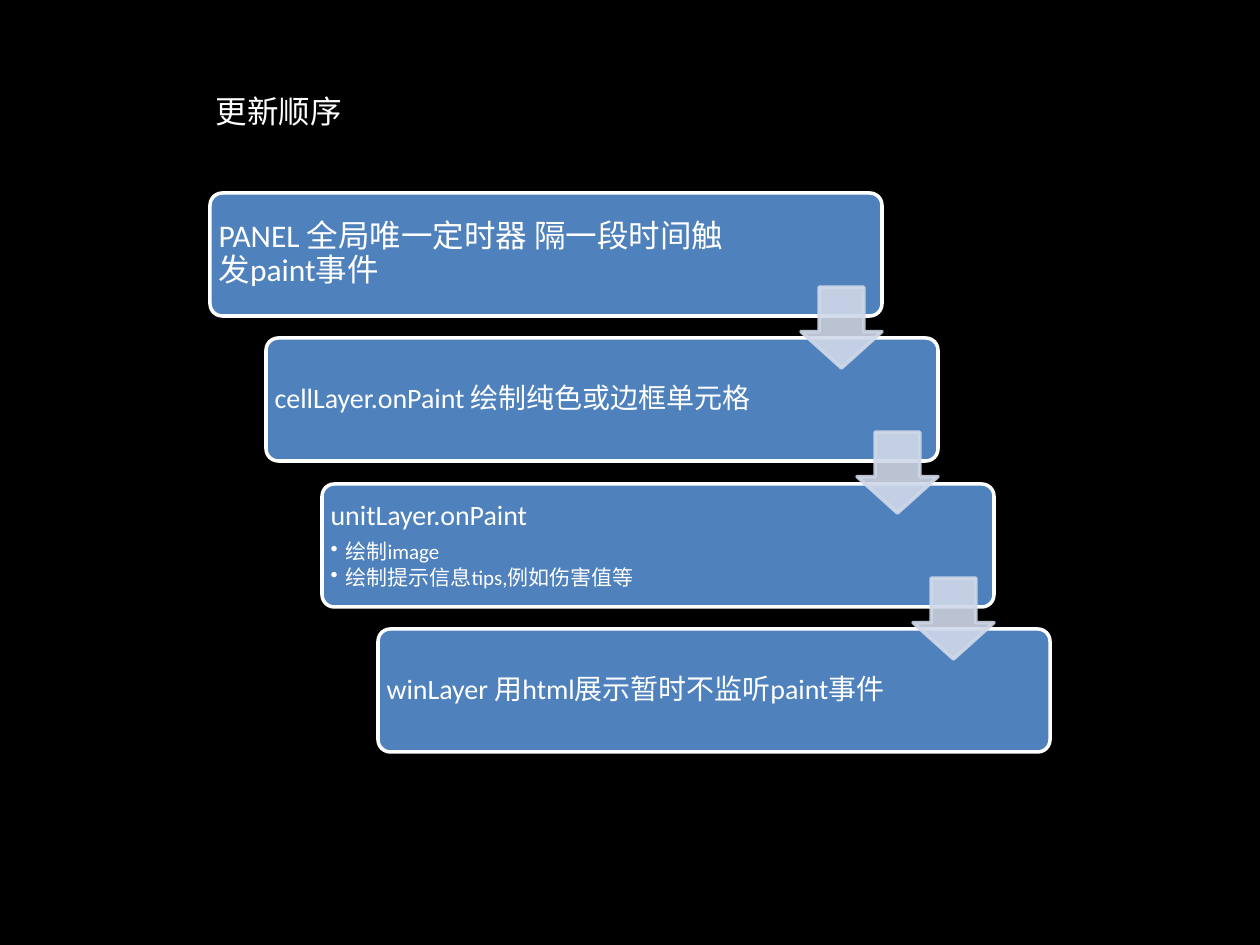
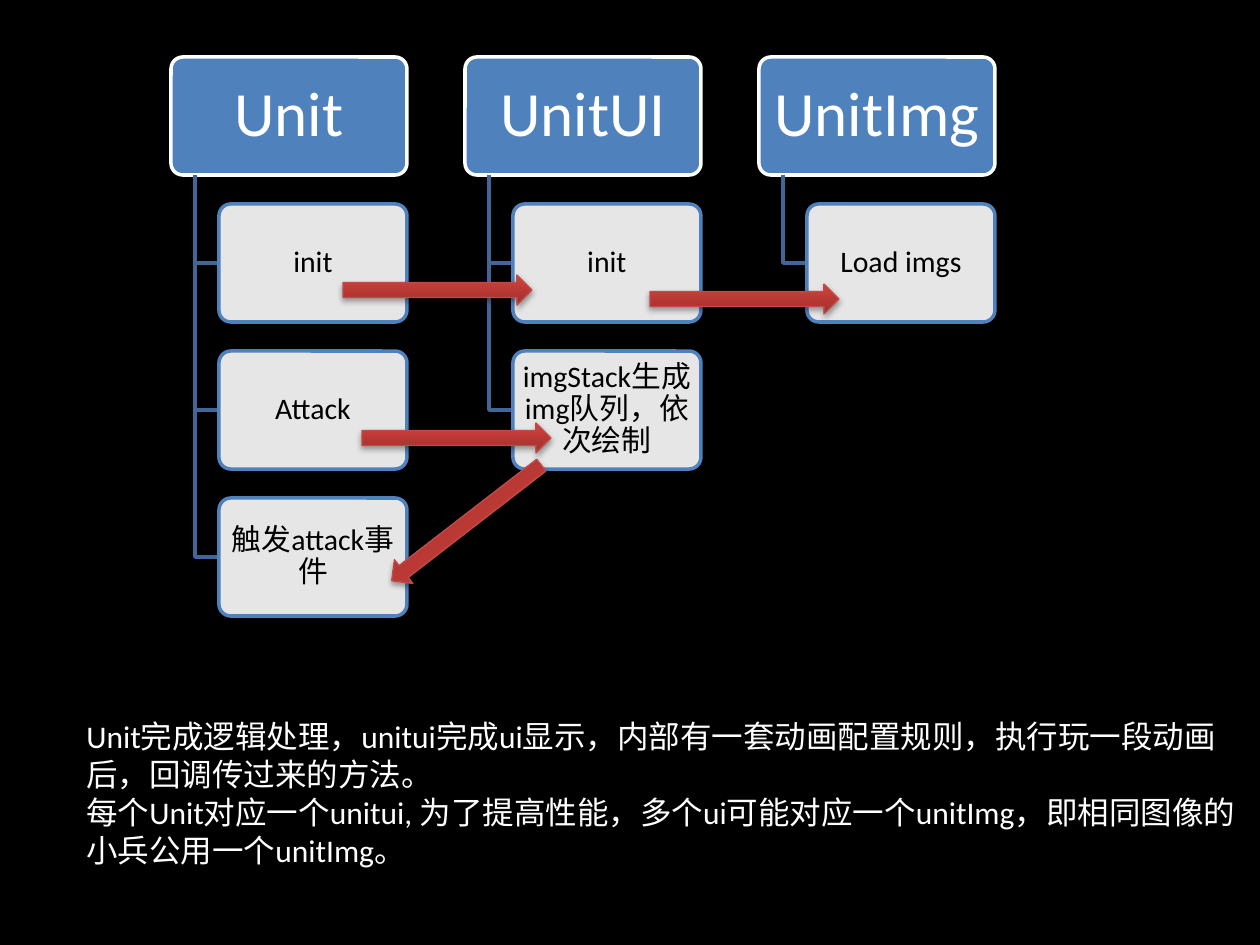
from lxml import etree
from pptx import Presentation
from pptx.dml.color import RGBColor
from pptx.enum.shapes import MSO_SHAPE as SHAPE
from pptx.enum.text import MSO_ANCHOR as ANCHOR, PP_ALIGN as ALIGN
from pptx.oxml import parse_xml
from pptx.oxml.ns import nsdecls, qn
from pptx.util import Pt

SCALE = 914400 / 126  # EMU per pixel
FONT = "Calibri"
COLORS = {
    "black": "000000",
    "white": "FFFFFF",
    "blue": "4F81BD",
    "branch": "3F6797",
    "pale": "D0D8E8",
    "red_dark": "9C2F2D",
    "red_mid": "CB3E3A",
    "red_light": "CE3B37",
    "red_line": "BF4C48",
}

# Each step is a list of (text, size, is bullet)
STEPS = [
    [("PANEL 全局唯一定时器 隔一段时间触发paint事件", 18, False)],
    [("cellLayer.onPaint 绘制纯色或边框单元格", 16, False)],
    [("unitLayer.onPaint", 16, False),
     ("绘制image", 12, True),
     ("绘制提示信息tips,例如伤害值等", 12, True)],
    [("winLayer 用html展示暂时不监听paint事件", 16, False)],
]
CLASSES = [
    ("Unit", ["init", "Attack", "触发attack事件"]),
    ("UnitUI", ["init", "imgStack生成img队列，依次绘制"]),
    ("UnitImg", ["Load imgs"]),
]
# Left, top and rotation of each call arrow
CALLS = [(343, 275, 0), (362, 423, 0), (372, 508, 142.3), (650, 284, 0)]
NOTES = [
    "Unit完成逻辑处理，unitui完成ui显示，内部有一套动画配置规则，执行玩一段动画",
    "后，回调传过来的方法。",
    "每个Unit对应一个unitui, 为了提高性能，多个ui可能对应一个unitImg，即相同图像的",
    "小兵公用一个unitImg。",
]


def px(*lengths):
    """Turn pixels into a list of EMU."""
    return [round(n * SCALE) for n in lengths]


def rgb(name):
    """Look up a colour by name."""
    return RGBColor.from_string(COLORS[name])


def add_run(p, text, size, color):
    """Add one formatted run to a paragraph."""
    r = p.add_run()
    r.text = text
    r.font.size = Pt(size)
    r.font.name = FONT
    r.font.color.rgb = rgb(color)


def next_paragraph(tf, i):
    """Return the first paragraph of a frame, or a new one after it."""
    return tf.add_paragraph() if i else tf.paragraphs[0]


def add_bullet(p):
    """Give a paragraph a hanging bullet."""
    pPr = p._p.get_or_add_pPr()
    indent, = px(15)
    pPr.set("marL", str(indent))
    pPr.set("indent", str(-indent))
    etree.SubElement(pPr, qn("a:buChar")).set("char", "•")


def make_translucent(part):
    """Set every colour inside an XML part to 90% opacity."""
    for clr in part.iter(qn("a:srgbClr")):
        etree.SubElement(clr, qn("a:alpha")).set("val", "90000")


def add_box(slide, kind, box, fill, line, adjustments):
    """Add a flat preset shape with a 2 pt outline."""
    sp = slide.shapes.add_shape(kind, *px(*box))
    for i, value in enumerate(adjustments):
        sp.adjustments[i] = value
    sp.shadow.inherit = False
    sp.fill.solid()
    sp.fill.fore_color.rgb = rgb(fill)
    sp.line.color.rgb = rgb(line)
    sp.line.width = Pt(2)
    return sp


def add_card(slide, box, lines, color="white", line="white", fill="blue",
             align=ALIGN.CENTER, insets=(1, 0, 1, 0)):
    """Add a rounded card with middle-anchored text."""
    sp = add_box(slide, SHAPE.ROUNDED_RECTANGLE, box, fill, line, [0.1])
    tf = sp.text_frame
    tf.word_wrap = True
    tf.vertical_anchor = ANCHOR.MIDDLE
    (tf.margin_left, tf.margin_top,
     tf.margin_right, tf.margin_bottom) = px(*insets)
    for i, (text, size, bullet) in enumerate(lines):
        p = next_paragraph(tf, i)
        p.alignment = align
        p.line_spacing = 0.9
        p.space_after = Pt(size * (0.15 if bullet else 0.35))
        if bullet:
            add_bullet(p)
        add_run(p, text, size, color)
    return sp


def add_down_arrow(slide, left, top):
    """Add a translucent arrow leading to the next step."""
    sp = add_box(slide, SHAPE.DOWN_ARROW, (left, top, 81, 81),
                 "pale", "pale", [0.55, 0.45])
    make_translucent(sp._element.spPr)


def add_branch(slide, left, top, bottom):
    """Add an elbow line from a class down to one of its methods."""
    builder = slide.shapes.build_freeform(left, top, scale=SCALE)
    builder.add_line_segments([(left, bottom), (left + 24, bottom)], close=False)
    sp = builder.convert_to_shape()
    sp.shadow.inherit = False
    sp.fill.background()
    sp.line.color.rgb = rgb("branch")
    sp.line.width = Pt(2)


def add_call_arrow(slide, left, top, rotation):
    """Add a red gradient arrow with a soft shadow."""
    sp = slide.shapes.add_shape(SHAPE.RIGHT_ARROW, *px(left, top, 189, 30))
    sp.rotation = rotation
    sp.line.color.rgb = rgb("red_line")
    sp.line.width = Pt(0.75)
    stops = "".join(
        f'<a:gs pos="{pos}"><a:srgbClr val="{COLORS[name]}"/></a:gs>'
        for pos, name in [(0, "red_dark"), (80000, "red_mid"), (100000, "red_light")])
    ns = nsdecls("a")
    spPr = sp._element.spPr
    spPr.find(qn("a:ln")).addprevious(parse_xml(
        f'<a:gradFill {ns} rotWithShape="1"><a:gsLst>{stops}</a:gsLst>'
        '<a:lin ang="16200000" scaled="0"/></a:gradFill>'))
    spPr.append(parse_xml(
        f'<a:effectLst {ns}><a:outerShdw blurRad="40000" dist="23000" '
        'dir="5400000" rotWithShape="0">'
        f'<a:srgbClr val="{COLORS["black"]}"><a:alpha val="35000"/></a:srgbClr>'
        '</a:outerShdw></a:effectLst>'))


def add_title(slide, text):
    """Place and fill the title placeholder."""
    sp = slide.shapes.title
    sp.left, sp.top, sp.width, sp.height = px(203, 86, 152, 50)
    tf = sp.text_frame
    tf.word_wrap = False
    tf.vertical_anchor = ANCHOR.TOP
    p = tf.paragraphs[0]
    p.alignment = ALIGN.LEFT
    add_run(p, text, 18, "white")


def add_notes_text(slide, lines):
    """Add the explanation under the class diagram."""
    tf = slide.shapes.add_textbox(*px(74, 711, 1186, 165)).text_frame
    tf.word_wrap = True
    for i, text in enumerate(lines):
        add_run(next_paragraph(tf, i), text, 18, "white")


def build_update_order(prs):
    """Build the staircase of update steps."""
    slide = prs.slides.add_slide(prs.slide_layouts[5])
    add_title(slide, "更新顺序")
    corners = [(210 + 56 * i, 193 + round(436 * i / 3)) for i in range(len(STEPS))]
    for (left, top), lines in zip(corners, STEPS):
        add_card(slide, (left, top, 672, 123), lines,
                 align=ALIGN.LEFT, insets=(5, 5, 141, 5))
    for left, top in corners[:-1]:
        add_down_arrow(slide, left + 591, top + 94)


def build_class_diagram(prs):
    """Build the class columns, the calls between them and the notes."""
    slide = prs.slides.add_slide(prs.slide_layouts[6])
    top, height, pitch = 57, 118, 147
    for col, (name, methods) in enumerate(CLASSES):
        left = 171 + 294 * col
        add_card(slide, (left, top, 236, height), [(name, 36, False)],
                 insets=(5, 3, 5, 3))
        for row, method in enumerate(methods, start=1):
            y = top + pitch * row
            add_branch(slide, left + 24, top + height, y + height // 2)
            sp = add_card(slide, (left + 48, y, 188, height), [(method, 17, False)],
                          color="black", line="blue", fill="white")
            make_translucent(sp._element.spPr.find(qn("a:solidFill")))
    for call in CALLS:
        add_call_arrow(slide, *call)
    add_notes_text(slide, NOTES)


def main():
    """Build and save the presentation."""
    prs = Presentation()
    prs.slide_width, prs.slide_height = px(1260, 945)
    background = prs.slide_master.background.fill
    background.solid()
    background.fore_color.rgb = rgb("black")
    build_update_order(prs)
    build_class_diagram(prs)
    prs.save("out.pptx")


main()
